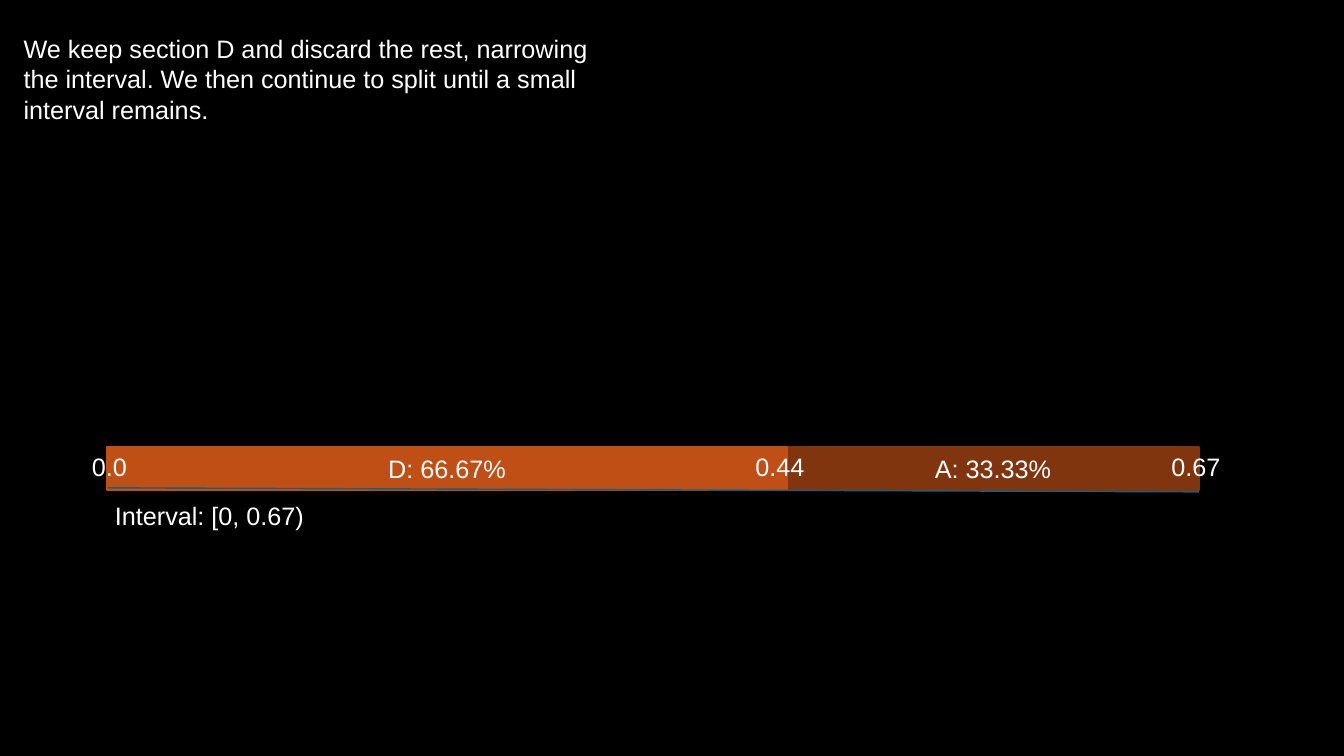
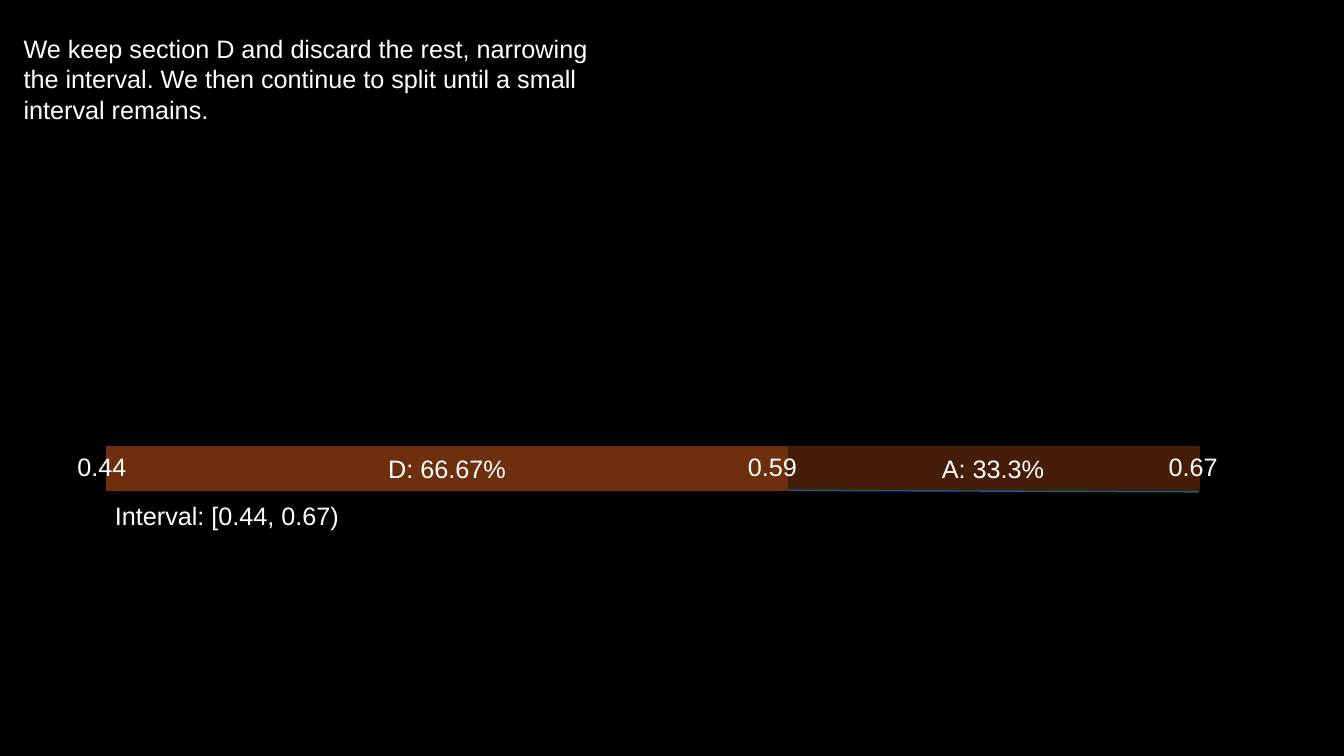
from dataclasses import dataclass

import pptx
import pptx.dml.color
import pptx.enum.shapes
import pptx.enum.text
import pptx.oxml.ns
import pptx.util
from lxml import etree

Pt = pptx.util.Pt
ALIGN = pptx.enum.text.PP_ALIGN
ANCHOR = pptx.enum.text.MSO_ANCHOR


@dataclass(frozen=True)
class Theme:
    background: str = "000000"
    text: str = "FFFFFF"
    axis: str = "156082"
    font: str = "Arial"
    size: float = 27
    leading: float = 32.4
    section_line: float = 2.25
    axis_line: float = 1.5


@dataclass(frozen=True)
class Box:
    left: float
    top: float
    width: float
    height: float

    def inner(self, dx, dy, width, height):
        return Box(self.left + dx, self.top + dy, width, height)

    def lengths(self):
        return [Pt(v) for v in (self.left, self.top, self.width, self.height)]


THEME = Theme()
SLIDE_SIZE = (1440, 810)
EXPLANATION_BOX = Box(25.2, 36, 644.4, 134.6)
BAR_BOX = Box(114.5, 478.8, 1170, 46)
INTERVAL_BOX = Box(123.1, 535.7, 644.4, 36.7)
SPLIT = 0.623  # drawn share of the bar that section D takes
MARK_TOP, MARK_HEIGHT = 5, 36.7

EXPLANATION = (
    "We keep section D and discard the rest, narrowing the interval. "
    "We then continue to split until a small interval remains."
)

# Each mark is (text, offset from the left end of the bar, width).
STEPS = [
    {
        "interval": "Interval: [0, 0.67)",
        "kept": ("D: 66.67%", "C04F15"),
        "discarded": ("A: 33.33%", "80350E"),
        "marks": [("0.0", -16, 56), ("0.44", 694.8, 65.5), ("0.67", 1140.5, 63.4)],
        "axis_in_front": True,
    },
    {
        "interval": "Interval: [0.44, 0.67)",
        "kept": ("D: 66.67%", "6E2F0D"),
        "discarded": ("A: 33.3%", "451D08"),
        "marks": [("0.44", -31.7, 65.5), ("0.59", 686.9, 73.4), ("0.67", 1137.6, 63.4)],
        "axis_in_front": False,
    },
]


def rgb(value):
    return pptx.dml.color.RGBColor.from_string(value)


def set_attributes(target, values):
    for name, value in values.items():
        setattr(target, name, value)


def write_text(tf, text, margin=0, align=ALIGN.LEFT, anchor=ANCHOR.TOP):
    sides = ("left", "top", "right", "bottom")
    set_attributes(tf, {f"margin_{side}": Pt(margin) for side in sides})
    set_attributes(tf, {"word_wrap": True, "vertical_anchor": anchor})
    p = tf.paragraphs[0]
    set_attributes(p, {"alignment": align, "line_spacing": Pt(THEME.leading)})
    r = p.add_run()
    r.text = text
    set_attributes(r.font, {"name": THEME.font, "size": Pt(THEME.size)})
    r.font.color.rgb = rgb(THEME.text)


def add_label(s, box, text):
    tf = s.shapes.add_textbox(*box.lengths()).text_frame
    write_text(tf, text)
    tf.auto_size = pptx.enum.text.MSO_AUTO_SIZE.SHAPE_TO_FIT_TEXT


def add_section(s, box, text, color):
    kind = pptx.enum.shapes.MSO_SHAPE.RECTANGLE
    sp = s.shapes.add_shape(kind, *box.lengths())
    sp.shadow.inherit = False
    sp.fill.solid()
    sp.fill.fore_color.rgb = rgb(color)
    sp.line.color.rgb = rgb(color)
    sp.line.width = Pt(THEME.section_line)
    write_text(sp.text_frame, text, 4.5, ALIGN.CENTER, ANCHOR.MIDDLE)


def add_axis(s, box):
    """Draw the slightly sloping line along the foot of the bar."""
    foot = box.top + box.height
    ends = (box.left + 0.7, foot - 2.1, box.left + box.width, foot + 2.2)
    kind = pptx.enum.shapes.MSO_CONNECTOR.STRAIGHT
    line = s.shapes.add_connector(kind, *map(Pt, ends))
    line.line.color.rgb = rgb(THEME.axis)
    line.line.width = Pt(THEME.axis_line)
    etree.SubElement(line._element.spPr, pptx.oxml.ns.qn("a:effectLst"))


def add_bar(s, box, step):
    kept_width = box.width * SPLIT
    kept = box.inner(0, 0, kept_width, box.height)
    discarded = box.inner(kept_width, 0, box.width - kept_width, box.height)
    add_section(s, discarded, *step["discarded"])
    if not step["axis_in_front"]:
        add_axis(s, box)
    add_section(s, kept, *step["kept"])
    if step["axis_in_front"]:
        add_axis(s, box)
    for text, dx, width in step["marks"]:
        add_label(s, box.inner(dx, MARK_TOP, width, MARK_HEIGHT), text)


def add_step_slide(prs, step):
    s = prs.slides.add_slide(prs.slide_layouts.get_by_name("Blank"))
    s.background.fill.solid()
    s.background.fill.fore_color.rgb = rgb(THEME.background)
    add_bar(s, BAR_BOX, step)
    add_label(s, INTERVAL_BOX, step["interval"])
    add_label(s, EXPLANATION_BOX, EXPLANATION)


def main():
    prs = pptx.Presentation()
    prs.slide_width, prs.slide_height = map(Pt, SLIDE_SIZE)
    for step in STEPS:
        add_step_slide(prs, step)
    prs.save("out.pptx")


if __name__ == "__main__":
    main()
